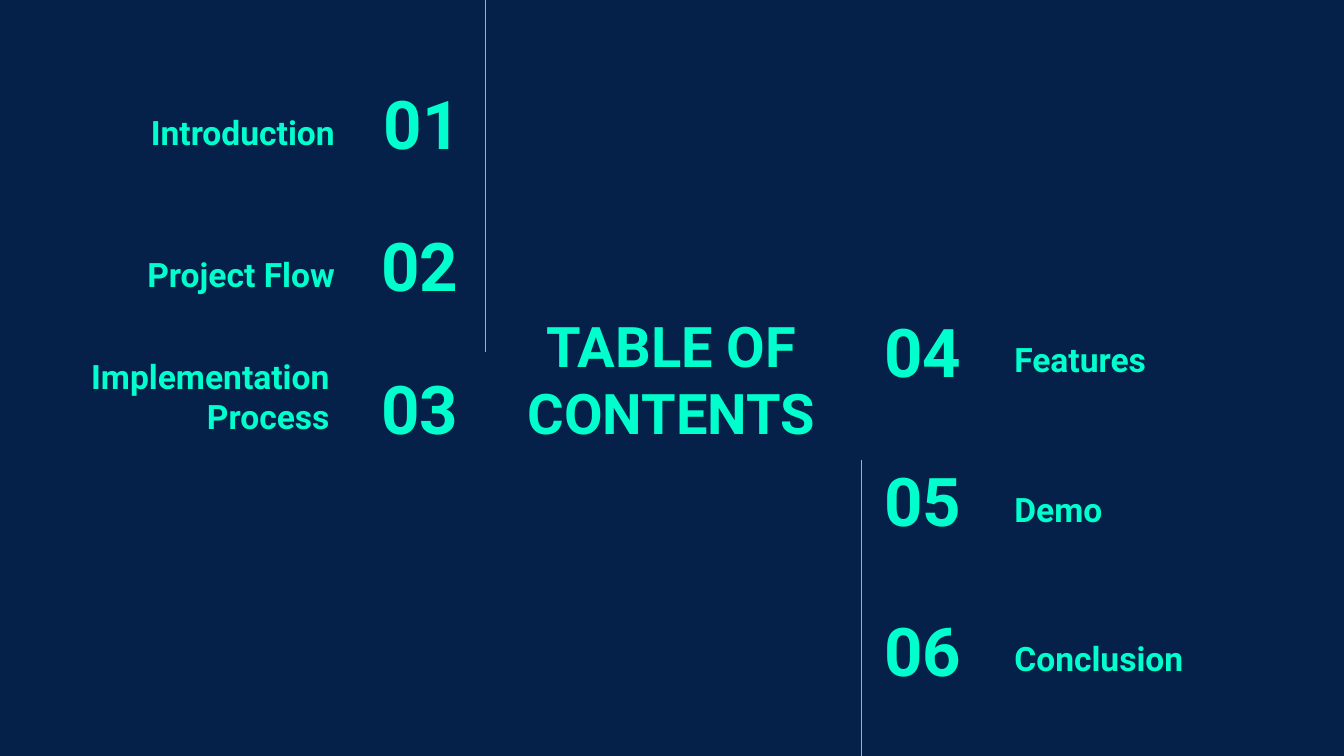
from lxml.etree import SubElement
from pptx import Presentation
from pptx.dml.color import RGBColor
from pptx.enum.shapes import MSO_CONNECTOR as Conn
from pptx.enum.text import MSO_ANCHOR as Anchor, MSO_AUTO_SIZE as Fit, PP_ALIGN as Align
from pptx.oxml.ns import qn
from pptx.util import Cm, Pt

NAVY = RGBColor(0x05, 0x21, 0x4A)
MINT = RGBColor(0x00, 0xFF, 0xCD)
WIDTH, HEIGHT = 25.4, 14.29
ROW = 1.6  # height of an entry

# number, number left, label, label left
LEFT = [
    ("01", 5.89, "Introduction", 1.09),
    ("02", 5.84, "Project Flow", 1.09),
    ("03", 5.84, "Implementation Process", 0.99),
]
RIGHT = [
    ("04", 16.46, "Features", 18.92),
    ("05", 16.46, "Demo", 18.92),
    ("06", 16.46, "Conclusion", 18.92),
]


def set_all(item, values):
    for name, value in values.items():
        setattr(item, name, value)


def put_text(shape, text, box, size, align, anchor=Anchor.MIDDLE):
    """Fill a text shape, placed by box: left, top, width, height in cm."""
    spots = zip(("left", "top", "width", "height"), map(Cm, box))
    set_all(shape, dict(spots))
    frame = shape.text_frame
    frame.text = text
    inset = Cm(0.25)
    set_all(frame, {
        "word_wrap": True, "auto_size": Fit.NONE, "vertical_anchor": anchor,
        "margin_left": inset, "margin_right": inset,
        "margin_top": inset, "margin_bottom": inset,
    })
    para = frame.paragraphs[0]
    para.alignment = align
    set_all(para.font, {"name": "Roboto", "size": Pt(size), "bold": True})
    para.font.color.rgb = MINT


def add_text(slide, *args):
    put_text(slide.shapes.add_textbox(0, 0, 0, 0), *args)


def add_list(slide, rows, top, step, num_wide, align):
    for i, (num, num_x, label, label_x) in enumerate(rows):
        y = top + i * step
        add_text(slide, num, (num_x, y, num_wide, ROW), 36, align)
        add_text(slide, label, (label_x, y, 5.49, ROW), 18, align, Anchor.BOTTOM)


def add_rule(slide, x, top, end):
    rule = slide.shapes.add_connector(Conn.STRAIGHT, Cm(x), Cm(top), Cm(x), Cm(end))
    rule.line.color.rgb = MINT
    rule.line.width = Pt(0.75)
    SubElement(rule._element.spPr, qn("a:effectLst"))


def main():
    deck = Presentation()
    set_all(deck, {"slide_width": Cm(WIDTH), "slide_height": Cm(HEIGHT)})
    slide = deck.slides.add_slide(deck.slide_layouts[5])
    fill = slide.background.fill
    fill.solid()
    fill.fore_color.rgb = NAVY

    put_text(slide.shapes.title, "TABLE OF CONTENTS",
             (9.4, 5.84, 6.58, 2.62), 30, Align.CENTER)
    add_list(slide, LEFT, 1.52, 2.69, 3.07, Align.RIGHT)
    add_list(slide, RIGHT, 5.82, 2.83, 2.97, Align.LEFT)
    add_rule(slide, 9.17, 0, 6.65)
    add_rule(slide, 16.28, 8.69, HEIGHT)
    deck.save("out.pptx")


if __name__ == "__main__":
    main()
